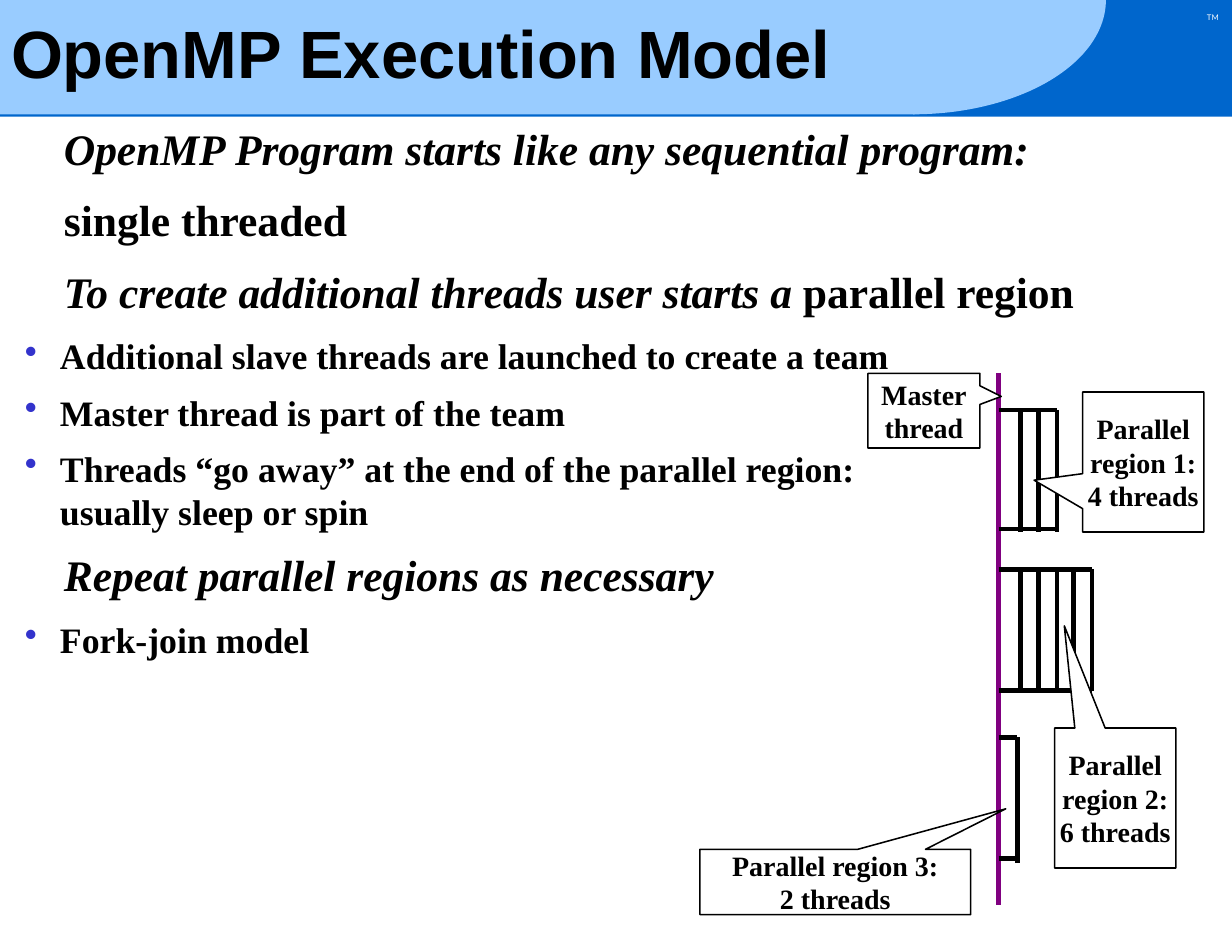
from math import cos, pi, sin

from lxml.etree import SubElement
from pptx import Presentation
from pptx.dml.color import RGBColor
from pptx.enum.shapes import MSO_CONNECTOR as CONN, MSO_SHAPE as SHAPE
from pptx.enum.text import MSO_ANCHOR as ANCHOR, PP_ALIGN as ALIGN
from pptx.oxml.ns import qn
from pptx.util import Pt

THEME = dict(
    blue="0066CC", sky="99CCFF", white="FFFFFF", black="000000",
    purple="800080", bullet="3333CC",
    sans="Arial", serif="Times New Roman", mark="Lato",
    title=43, head=28, item=23, label=18, tiny=5,
)
W, H = 792, 612
BAND_H, BODY_TOP = 73.5, 75
ARC_X, ARC_R = 587, 124

TITLE = "OpenMP Execution Model"
BODY = [
    ("head", [("OpenMP Program starts like any sequential program:", True)]),
    ("head", [("single threaded", False)]),
    ("head", [("To create additional threads user starts a ", True), ("parallel region", False)]),
    ("item", [("Additional slave threads are launched to create a team", False)]),
    ("item", [("Master thread is part of the team", False)]),
    ("item", [("Threads “go away” at the end of the parallel region:\nusually sleep or spin", False)]),
    ("head", [("Repeat parallel regions as necessary", True)]),
    ("item", [("Fork-join model", False)]),
]
LEVELS = {
    "head": dict(left=34, indent=0, before=7, after=5.2),
    "item": dict(left=31.5, indent=-22.5, before=5.8, after=2.9, bullet="•"),
}
MASTER = dict(x=642, top=240, bottom=582)
REGIONS = [
    dict(top=263.5, bottom=340, threads=[656, 667.5, 679.5], end=342),
    dict(top=366, bottom=444, threads=[656, 667.5, 679.5, 690, 702], end=444.5),
    dict(top=474, bottom=552, threads=[654], end=555),
]
CALLOUTS = [
    (["Parallel", "region 1:", "4 threads"], (696, 252, 78, 90), (-0.9, 0.13)),
    (["Parallel", "region 2:", "6 threads"], (678, 468, 78, 90), (-0.42, -1.23)),
    (["Parallel region 3:", "2 threads"], (450, 546, 174, 42), (0.63, -1.12)),
    (["Master", "thread"], (558, 240, 72, 48), (0.69, -0.19)),
]


def color(name):
    return RGBColor.from_string(THEME[name])


def paint(sp, fill, line=None):
    sp.shadow.inherit = False
    sp.fill.solid()
    sp.fill.fore_color.rgb = color(fill)
    if line:
        sp.line.color.rgb = color(line)
        sp.line.width = Pt(1)
    else:
        sp.line.fill.background()
    return sp


def add_box(s, shape, box, fill, line=None):
    return paint(s.shapes.add_shape(shape, *map(Pt, box)), fill, line)


def add_text(p, text, *, size, font="serif", fill="black", bold=True, italic=False):
    for i, line in enumerate(text.split("\n")):
        if i:
            p.add_line_break()
        r = p.add_run()
        r.text = line
        r.font.name = THEME[font]
        r.font.size = Pt(THEME[size])
        r.font.bold, r.font.italic = bold, italic
        r.font.color.rgb = color(fill)


def add_line(s, x1, y1, x2, y2, fill="black"):
    c = s.shapes.add_connector(CONN.STRAIGHT, Pt(x1), Pt(y1), Pt(x2), Pt(y2))
    c.line.color.rgb = color(fill)
    c.line.width = Pt(3)
    SubElement(c._element.spPr, qn("a:effectLst"))


def paragraphs(tf, count):
    return [tf.paragraphs[0]] + [tf.add_paragraph() for _ in range(count - 1)]


def set_level(p, left, indent, before, after, bullet=None, first=False):
    pPr = p._p.get_or_add_pPr()
    pPr.set("marL", str(Pt(left)))
    pPr.set("indent", str(Pt(indent)))
    p.space_before = Pt(0 if first else before)
    p.space_after = Pt(after)
    if bullet:
        clr = SubElement(pPr, qn("a:buClr"))
        SubElement(clr, qn("a:srgbClr"), val=THEME["bullet"])
        SubElement(pPr, qn("a:buChar"), char=bullet)
    else:
        SubElement(pPr, qn("a:buNone"))


def add_header(s):
    add_box(s, SHAPE.RECTANGLE, (0, 0, ARC_X + 1, BAND_H), "sky")
    steps = 48
    arc = [(ARC_X + ARC_R * cos(a), BAND_H * sin(a))
           for a in (pi / 2 * i / steps for i in range(steps + 1))]
    fb = s.shapes.build_freeform(Pt(ARC_X), 0)
    fb.add_line_segments([(Pt(x), Pt(y)) for x, y in arc])
    paint(fb.convert_to_shape(), "sky")

    tf = s.shapes.add_textbox(Pt(767.5), Pt(4.5), Pt(24.5), Pt(13.5)).text_frame
    tf.vertical_anchor = ANCHOR.MIDDLE
    tf.word_wrap = False
    tf.paragraphs[0].alignment = ALIGN.CENTER
    add_text(tf.paragraphs[0], "TM", size="tiny", font="mark", fill="white", bold=False)

    tf = s.shapes.add_textbox(0, 0, Pt(691), Pt(74)).text_frame
    tf.vertical_anchor = ANCHOR.MIDDLE
    tf.word_wrap = True
    tf.paragraphs[0].line_spacing = 0.85
    add_text(tf.paragraphs[0], TITLE, size="title", font="sans")


def add_body(s):
    tf = add_box(s, SHAPE.RECTANGLE, (0, BODY_TOP, W, H - BODY_TOP), "white").text_frame
    tf.word_wrap = True
    tf.vertical_anchor = ANCHOR.TOP
    for i, (p, (level, runs)) in enumerate(zip(paragraphs(tf, len(BODY)), BODY)):
        p.alignment = ALIGN.LEFT
        set_level(p, first=i == 0, **LEVELS[level])
        for text, italic in runs:
            add_text(p, text, size=level, italic=italic)


def add_diagram(s):
    x = MASTER["x"]
    add_line(s, x, MASTER["top"], x, MASTER["bottom"], "purple")
    for region in REGIONS:
        for y in (region["top"], region["bottom"]):
            add_line(s, x, y, region["threads"][-1], y)
        for thread in region["threads"]:
            add_line(s, thread, region["top"], thread, region["end"])
    for lines, box, tip in CALLOUTS:
        sp = add_box(s, SHAPE.RECTANGULAR_CALLOUT, box, "white", "black")
        sp.adjustments[0], sp.adjustments[1] = tip
        tf = sp.text_frame
        tf.word_wrap = False
        tf.vertical_anchor = ANCHOR.MIDDLE
        for p, line in zip(paragraphs(tf, len(lines)), lines):
            p.alignment = ALIGN.CENTER
            add_text(p, line, size="label")


def main():
    prs = Presentation()
    prs.slide_width, prs.slide_height = Pt(W), Pt(H)
    s = prs.slides.add_slide(prs.slide_layouts[6])
    s.background.fill.solid()
    s.background.fill.fore_color.rgb = color("blue")
    add_header(s)
    add_body(s)
    add_diagram(s)
    prs.save("out.pptx")


if __name__ == "__main__":
    main()
